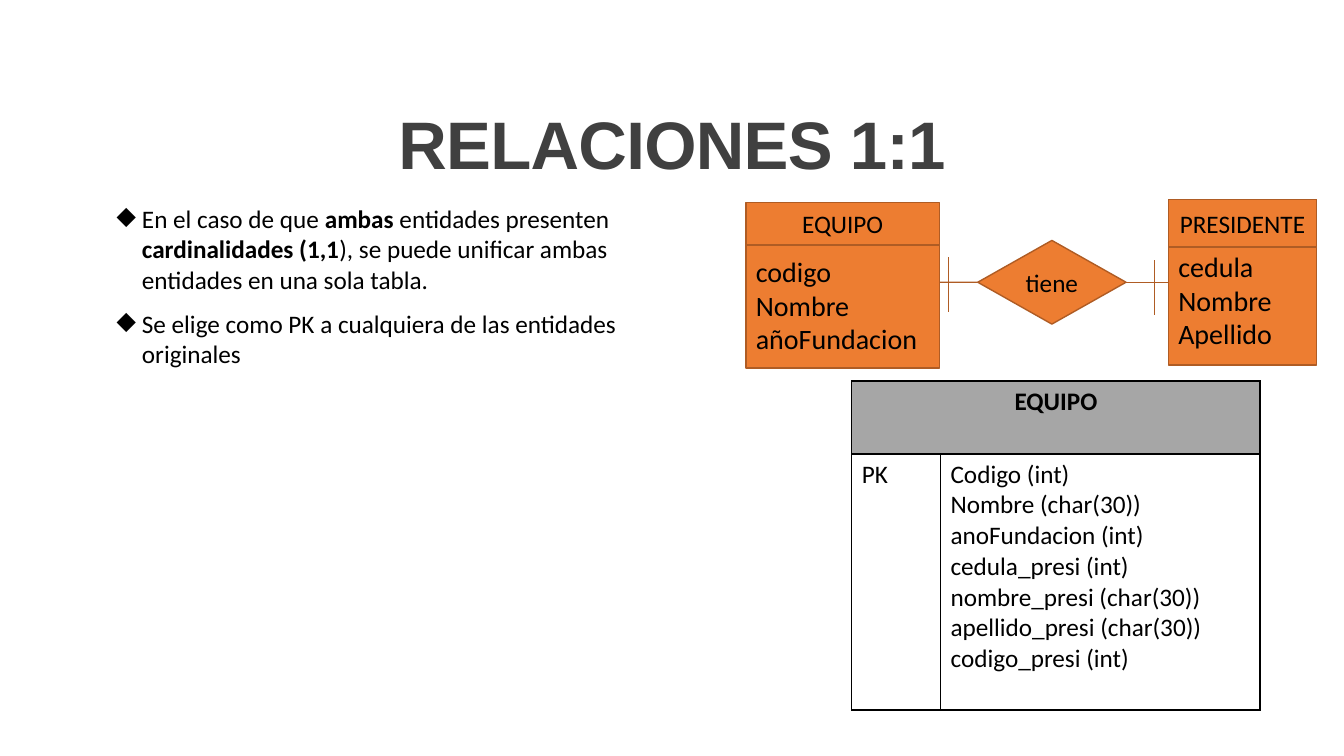
"""Builds the slide that explains how 1:1 relations become one table."""
from lxml import etree
from pptx import Presentation
from pptx import util as u
from pptx.dml.color import RGBColor
from pptx.enum import shapes, text
from pptx.oxml.ns import qn

WIDTH, HEIGHT = u.Inches(13.33), u.Inches(7.5)
ORANGE = RGBColor(0xED, 0x7D, 0x31)
RUST = RGBColor(0xAF, 0x5C, 0x24)
GRAY = RGBColor(0xA6, 0xA6, 0xA6)
CHARCOAL = RGBColor(0x40, 0x40, 0x40)
BLACK = RGBColor(0, 0, 0)
WHITE = RGBColor(0xFF, 0xFF, 0xFF)

LABEL = {"name": "Calibri", "size": u.Pt(18), "color": BLACK}
FIELD = {**LABEL, "size": u.Pt(20)}
HEADING = {"name": "Arial", "size": u.Pt(48), "bold": True, "color": CHARCOAL}
CENTER, LEFT = text.PP_ALIGN.CENTER, text.PP_ALIGN.LEFT

RULES = [
    [("En el caso de que ", False), ("ambas", True),
     (" entidades presenten ", False), ("cardinalidades (1,1", True),
     ("), se puede unificar ambas entidades en una sola tabla.", False)],
    [("Se elige como PK a cualquiera de las entidades originales", False)],
]
COLUMNS = ["Codigo (int)", "Nombre (char(30))", "anoFundacion (int)",
           "cedula_presi (int)", "nombre_presi (char(30))",
           "apellido_presi (char(30))", "codigo_presi (int)"]


def px(share):
    """Turn a percentage of the slide's width into a length."""
    return u.Emu(round(WIDTH * share / 100))


def py(share):
    """Turn a percentage of the slide's height into a length."""
    return u.Emu(round(HEIGHT * share / 100))


def frame(x, y, w, h):
    """Turn four percentages into left, top, width and height."""
    return px(x), py(y), px(w), py(h)


def set_font(font, style):
    """Apply a dict of format values to a font."""
    for key, value in style.items():
        if key == "color":
            font.color.rgb = value
        else:
            setattr(font, key, value)


def write(tf, lines, style, align=LEFT):
    """Write one paragraph per line in a single style."""
    for i, line in enumerate(lines):
        p = tf.add_paragraph() if i else tf.paragraphs[0]
        p.alignment = align
        r = p.add_run()
        r.text = line
        set_font(r.font, style)


def add_title(s, wording):
    """Place and format the title placeholder."""
    sp = s.shapes.title
    sp.left, sp.top, sp.width, sp.height = frame(5, 8.27, 90, 16.67)
    tf = sp.text_frame
    tf.auto_size = text.MSO_AUTO_SIZE.NONE
    tf.vertical_anchor = text.MSO_ANCHOR.BOTTOM
    write(tf, [wording], HEADING, CENTER)
    p = tf.paragraphs[0]
    p.line_spacing = 0.85
    p.runs[0].font._element.set("spc", "-50")


def add_bullets(s, box, items):
    """Add a text box of bulleted paragraphs with mixed bold runs."""
    tf = s.shapes.add_textbox(*box).text_frame
    tf.word_wrap = True
    for i, item in enumerate(items):
        p = tf.add_paragraph() if i else tf.paragraphs[0]
        pPr = p._p.get_or_add_pPr()
        indent = u.Inches(0.25)
        pPr.set("marL", str(indent))
        pPr.set("indent", str(-indent))
        etree.SubElement(pPr, qn("a:buChar")).set("char", "◆")
        if i:
            p.space_before = u.Pt(10)
        for wording, bold in item:
            r = p.add_run()
            r.text = wording
            set_font(r.font, {**LABEL, "bold": bold})


def add_block(s, kind, box, lines, style, align=CENTER):
    """Add an orange preset shape with text."""
    sp = s.shapes.add_shape(kind, *box)
    sp.shadow.inherit = False
    sp.fill.solid()
    sp.fill.fore_color.rgb = ORANGE
    sp.line.color.rgb = RUST
    sp.line.width = u.Pt(1)
    tf = sp.text_frame
    tf.word_wrap = True
    tf.vertical_anchor = text.MSO_ANCHOR.MIDDLE
    write(tf, lines, style, align)
    return sp


def add_entity(s, name, fields, body, head):
    """Add an entity: a box of fields under a box with its name."""
    rect = shapes.MSO_SHAPE.RECTANGLE
    sp = add_block(s, rect, frame(*body), fields, FIELD, LEFT)
    add_block(s, rect, frame(*head), [name], LABEL)
    return sp


def add_line(s, x1, y1, x2, y2):
    """Add a thin straight connector."""
    c = s.shapes.add_connector(shapes.MSO_CONNECTOR.STRAIGHT,
                               px(x1), py(y1), px(x2), py(y2))
    c.line.color.rgb = RUST
    c.line.width = u.Pt(1)
    etree.SubElement(c._element.spPr, qn("a:effectLst"))
    return c


def format_cell(cell, fill):
    """Give a cell black borders and a fill."""
    tcPr = cell._tc.get_or_add_tcPr()
    for side in ("lnL", "lnR", "lnT", "lnB"):
        ln = etree.SubElement(tcPr, qn(f"a:{side}"), w=str(u.Pt(1)))
        solid = etree.SubElement(ln, qn("a:solidFill"))
        etree.SubElement(solid, qn("a:srgbClr")).set("val", str(BLACK))
    cell.fill.solid()
    cell.fill.fore_color.rgb = fill


def add_result_table(s):
    """Add the table that unifies both entities."""
    widths, heights = (6.6, 23.78), (9.66, 33.87)
    box = frame(63.38, 50.4, sum(widths), sum(heights))
    table = s.shapes.add_table(2, 2, *box).table
    table.first_row = table.horz_banding = False
    for column, share in zip(table.columns, widths):
        column.width = px(share)
    for row, share, fill in zip(table.rows, heights, (GRAY, WHITE)):
        row.height = py(share)
        for cell in row.cells:
            format_cell(cell, fill)
    table.cell(0, 0).merge(table.cell(0, 1))
    write(table.cell(0, 0).text_frame, ["EQUIPO"], {**LABEL, "bold": True}, CENTER)
    write(table.cell(1, 0).text_frame, ["PK"], LABEL)
    write(table.cell(1, 1).text_frame, COLUMNS, LABEL)


def add_diagram(s):
    """Add the two entities, their relation and the cardinality ticks."""
    add_entity(s, "EQUIPO", ["codigo", "Nombre", "añoFundacion"],
               (55.5, 32, 14.4, 16.67), (55.5, 26.8, 14.4, 5.6))
    president = add_entity(s, "PRESIDENTE", ["cedula", "Nombre", "Apellido"],
                           (86.93, 26.4, 11.03, 21.87), (86.93, 26.4, 11.03, 6.27))
    president.text_frame.margin_top = py(5.4)
    relation = add_block(s, shapes.MSO_SHAPE.DIAMOND,
                         frame(72.75, 31.8, 11.03, 11.07), ["tiene"], LABEL)
    middle = 37.33
    right = add_line(s, 83.78, middle, 86.93, middle)
    right.begin_connect(relation, 3)
    right.end_connect(president, 1)
    add_line(s, 72.75, middle, 69.9, middle).begin_connect(relation, 1)
    for x, y in ((70.58, 34), (85.88, 34.4)):
        add_line(s, x, y, x, y + 7.33)


def main():
    """Build and save the slide."""
    prs = Presentation()
    prs.slide_width, prs.slide_height = WIDTH, HEIGHT
    s = prs.slides.add_slide(prs.slide_layouts[5])
    add_title(s, "RELACIONES 1:1")
    add_bullets(s, frame(7.95, 26.27, 45.3, 19.33), RULES)
    add_result_table(s)
    add_diagram(s)
    prs.save("out.pptx")


if __name__ == "__main__":
    main()
